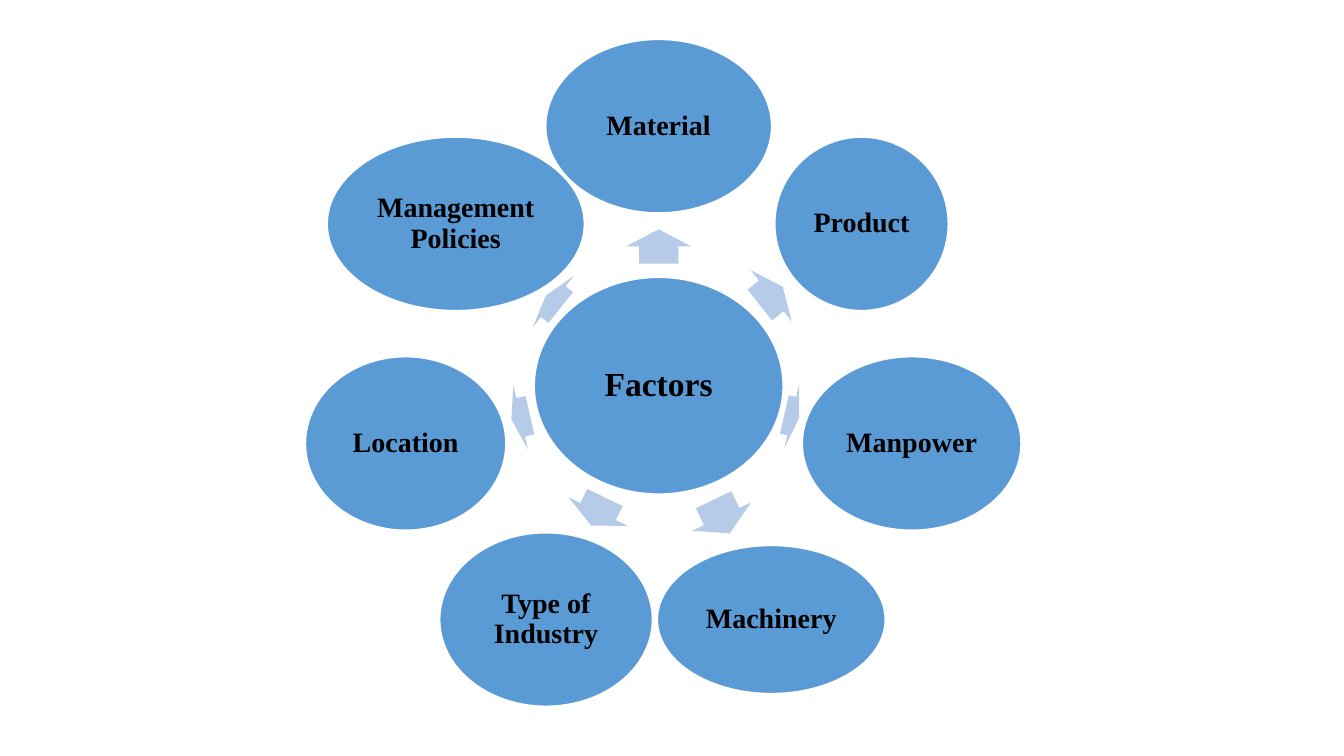
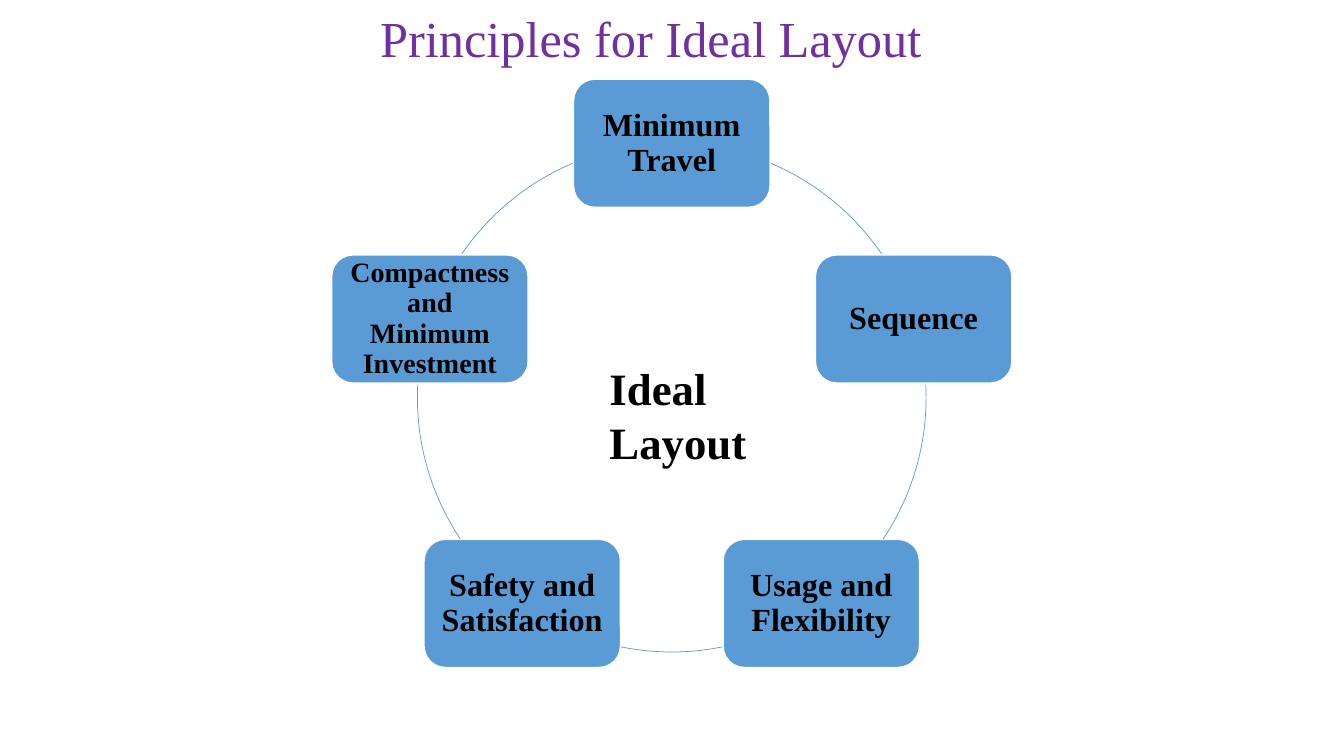
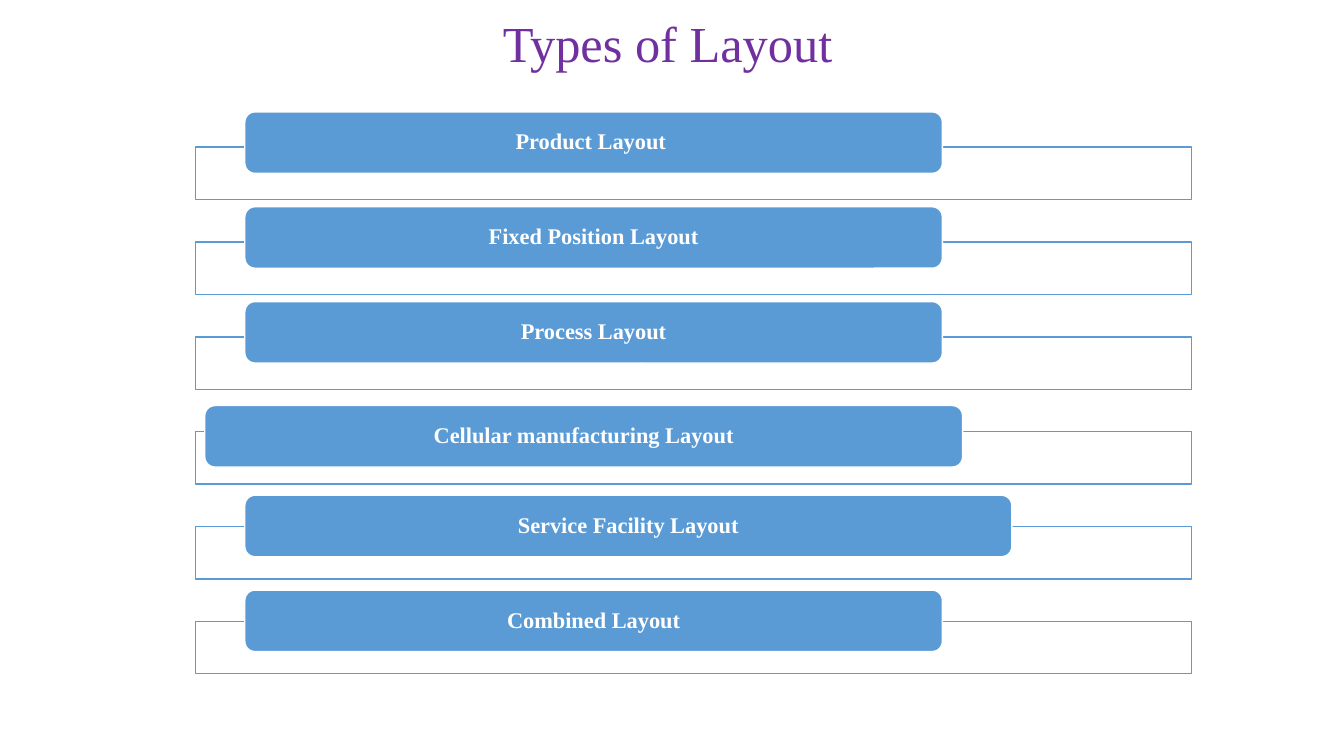
from math import cos, radians, sin

from pptx import Presentation
from pptx.dml.color import RGBColor
from pptx.enum.shapes import MSO_SHAPE
from pptx.enum.text import MSO_ANCHOR, PP_ALIGN
from pptx.util import Cm, Pt

BLUE = RGBColor(0x5B, 0x9B, 0xD5)
PALE_BLUE = RGBColor(0xB5, 0xCB, 0xE7)
PURPLE = RGBColor(0x70, 0x30, 0xA0)
BLACK = RGBColor(0, 0, 0)
WHITE = RGBColor(0xFF, 0xFF, 0xFF)
FONT = "Times New Roman"

ELLIPSE = MSO_SHAPE.OVAL
ROUNDED = MSO_SHAPE.ROUNDED_RECTANGLE
RECTANGLE = MSO_SHAPE.RECTANGLE
ARROW = MSO_SHAPE.RIGHT_ARROW
ARC = MSO_SHAPE.ARC
CENTER = PP_ALIGN.CENTER
LEFT = PP_ALIGN.LEFT
TOP = MSO_ANCHOR.TOP
MIDDLE = MSO_ANCHOR.MIDDLE

TITLE_ONLY, BLANK = 5, 6

FACTORS = [
    ("Material", 5.69, 4.37, 3.51, 0.86),
    ("Product", 4.37, 4.37, 3.63, 0.74),
    ("Manpower", 5.51, 4.37, 3.44, 0.38),
    ("Machinery", 5.74, 3.73, 3.66, 0.94),
    ("Type of Industry", 5.36, 4.37, 3.52, 0.79),
    ("Location", 5.05, 4.37, 3.57, 0.48),
    ("Management Policies", 6.48, 4.37, 3.4, 0.48),
]
PRINCIPLES = [
    ("Minimum Travel", 23, 0.24),
    ("Sequence", 23, 0.24),
    ("Usage and Flexibility", 23, 0.24),
    ("Safety and Satisfaction", 23, 0.24),
    ("Compactness and Minimum Investment", 20, 0.2),
]
ARC_ANGLES = [(293, 325.6), (357.2, 33.7), (78.5, 101.5), (146.3, 182.8), (214.4, 247)]
LAYOUTS = [
    ("Product Layout ", 1.24, -0.89, 17.58),
    ("Fixed Position Layout", 1.24, -0.89, 17.58),
    ("Process Layout", 1.24, -0.89, 17.58),
    ("Cellular manufacturing Layout", 0.23, -0.66, 19.1),
    ("Service Facility Layout", 1.24, -0.79, 19.33),
    ("Combined Layout", 1.24, -0.79, 17.58),
]


def write(shape, text, size, color, bold=True, align=CENTER, anchor=MIDDLE, spacing=0.9):
    """Put one formatted paragraph into a shape."""
    frame = shape.text_frame
    frame.word_wrap = True
    frame.vertical_anchor = anchor
    frame.text = text
    para = frame.paragraphs[0]
    para.alignment = align
    para.line_spacing = spacing
    font = para.runs[0].font
    font.name, font.size, font.bold = FONT, Pt(size), bold
    font.color.rgb = color


def set_margins(shape, across, down):
    """Set the inner margins of a shape in centimetres."""
    frame = shape.text_frame
    frame.margin_left = frame.margin_right = Cm(across)
    frame.margin_top = frame.margin_bottom = Cm(down)


def add_block(page, kind, left, top, width, height, fill=BLUE, line=WHITE):
    """Add a flat preset shape."""
    block = page.shapes.add_shape(kind, Cm(left), Cm(top), Cm(width), Cm(height))
    block.shadow.inherit = False
    if fill is None:
        block.fill.background()
    else:
        block.fill.solid()
        block.fill.fore_color.rgb = fill
    if line is None:
        block.line.fill.background()
    else:
        block.line.color.rgb = line
        block.line.width = Pt(1)
    return block


def add_centered(page, kind, center, width, height, **colors):
    """Add a flat preset shape around a center point."""
    x, y = center
    return add_block(page, kind, x - width / 2, y - height / 2, width, height, **colors)


def around(center, radius, angle):
    """Return the point at an angle on a circle."""
    x, y = center
    return x + radius * cos(radians(angle)), y + radius * sin(radians(angle))


def add_page(deck, title=None, left=0, top=0, width=0):
    """Add a slide, with a styled title when one is given."""
    if title is None:
        return deck.slides.add_slide(deck.slide_layouts[BLANK])
    page = deck.slides.add_slide(deck.slide_layouts[TITLE_ONLY])
    box = page.shapes.title
    box.left, box.top, box.width, box.height = Cm(left), Cm(top), Cm(width), Cm(1.6)
    write(box, title, 36, PURPLE, bold=False, anchor=TOP)
    return page


def add_factor_wheel(page, center, radius):
    """Draw the hub with arrows pointing to the factors around it."""
    hub = add_centered(page, ELLIPSE, center, 6.27, 5.46)
    set_margins(hub, 0.08, 0.08)
    write(hub, "Factors", 24, BLACK)
    for index, (name, width, height, reach, length) in enumerate(FACTORS):
        angle = index * 360 / len(FACTORS) - 90
        arrow = add_centered(page, ARROW, around(center, reach, angle), length, 1.65,
                             fill=PALE_BLUE, line=None)
        arrow.adjustments[0] = 0.6
        arrow.rotation = angle % 360
        factor = add_centered(page, ELLIPSE, around(center, radius, angle), width, height)
        set_margins(factor, 0.08, 0.08)
        write(factor, name, 20, BLACK)


def add_principle_ring(page, center, radius):
    """Draw the principles on a ring of arcs with a caption inside."""
    x, y = center
    for index, (name, size, margin) in enumerate(PRINCIPLES):
        angle = index * 360 / len(PRINCIPLES) - 90
        card = add_centered(page, ROUNDED, around(center, radius, angle), 4.95, 3.23)
        set_margins(card, margin, margin)
        write(card, name, size, BLACK)
    for start, end in ARC_ANGLES:
        arc = add_centered(page, ARC, center, 2 * radius, 2 * radius, fill=None, line=BLUE)
        arc.line.width = Pt(0.5)
        arc.adjustments[0] = start * 0.6
        arc.adjustments[1] = end * 0.6
    caption = page.shapes.add_textbox(Cm(x - 1.82), Cm(y - 1.05), Cm(4.72), Cm(3))
    write(caption, "Ideal Layout", 32, BLACK, align=LEFT, anchor=TOP, spacing=1.0)


def add_layout_list(page, left, top, width, pitch):
    """Draw the layout types as bars over outlined frames."""
    for index, (name, indent, shift, bar_width) in enumerate(LAYOUTS):
        row_top = top + index * pitch
        add_block(page, RECTANGLE, left, row_top, width, 1.32, fill=WHITE, line=BLUE)
        bar = add_block(page, ROUNDED, left + indent, row_top + shift, bar_width, 1.55)
        set_margins(bar, 0.66, 0)
        write(bar, name, 16, WHITE)


def main():
    """Build and save the deck."""
    deck = Presentation()
    deck.slide_width, deck.slide_height = Cm(33.87), Cm(19.05)
    add_factor_wheel(add_page(deck), (16.6, 9.72), 6.54)
    principles = add_page(deck, "Principles for Ideal Layout", 1.19, 0.23, 30.43)
    add_principle_ring(principles, (16.93, 10.02), 6.41)
    layouts = add_page(deck, "Types of Layout", 0.99, 0.36, 31.67)
    add_layout_list(layouts, 4.93, 3.71, 25.1, 2.39)
    deck.save("out.pptx")


if __name__ == "__main__":
    main()
